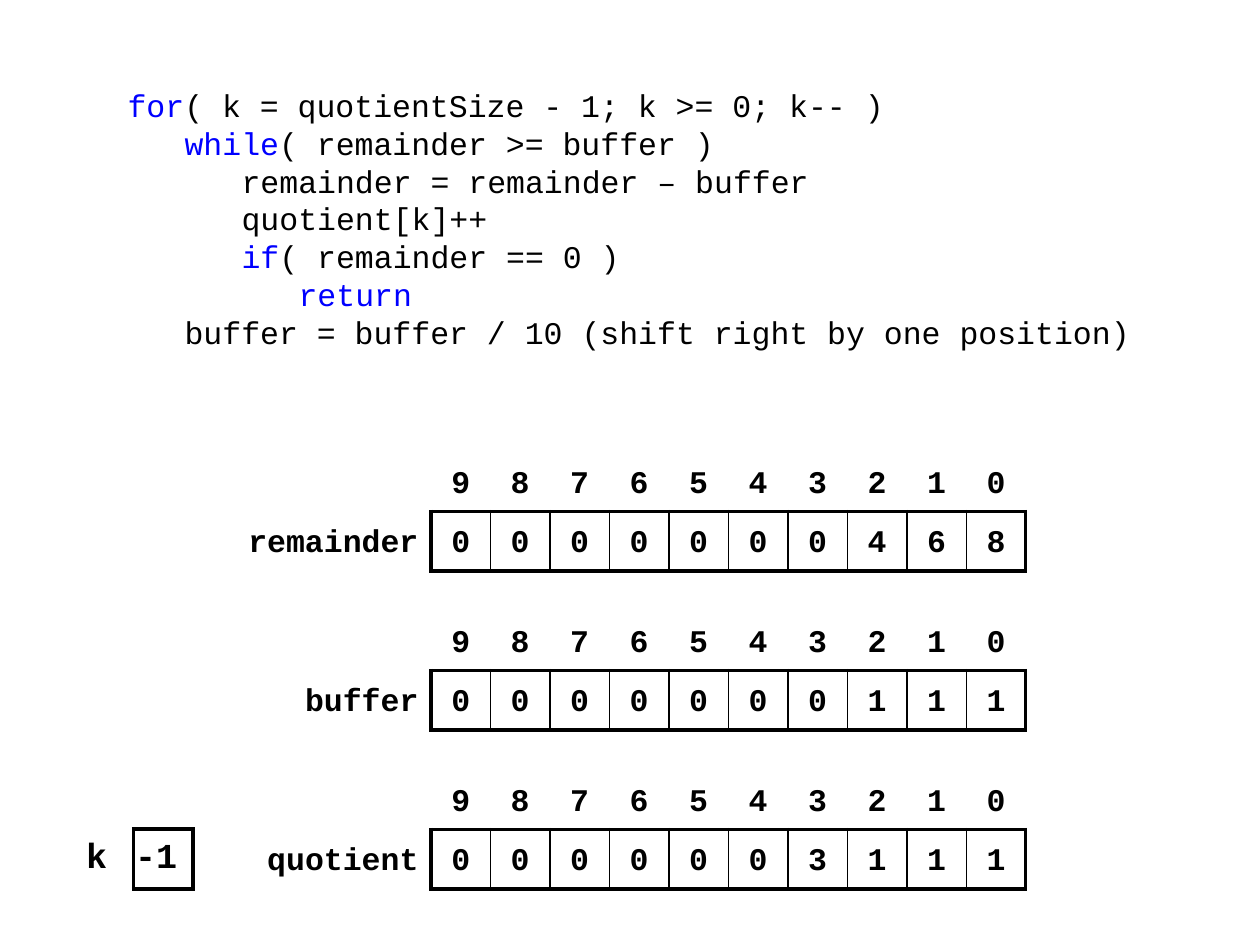
from lxml import etree
from pptx import Presentation
from pptx import util as u
from pptx.dml.color import RGBColor
from pptx.enum import text
from pptx.oxml import ns

SCALE = 914400 // 126
COLORS = {"text": "000000", "keyword": "0000FF"}
FONT = "Courier New"
THICK, THIN = 2.25, 1
INDENT = 57
CELLS = 10

# Each code line: indent level, then (text, colour) pieces
CODE = [
    (0, [("for", "keyword"), ("( k = quotientSize - 1; k >= 0; k-- )", "text")]),
    (1, [("while", "keyword"), ("( remainder >= buffer )", "text")]),
    (2, [("remainder = remainder – buffer", "text")]),
    (2, [("quotient[k]++", "text")]),
    (2, [("if", "keyword"), ("( remainder == 0 )", "text")]),
    (3, [("return", "keyword")]),
    (1, [("buffer = buffer / 10 (shift right by one position)", "text")]),
]
REGISTERS = [("remainder", "0000000468"), ("buffer", "0000000111"),
             ("quotient", "0000003111")]


def px(n):
    return u.Emu(n * SCALE)


def add_text(p, string, size=18, color="text", bold=False, align=None, spacing=None):
    r = p.add_run()
    r.text = string
    r.font.name = FONT
    r.font.size = u.Pt(size)
    r.font.bold = bold
    r.font.color.rgb = RGBColor.from_string(COLORS[color])
    if align is not None:
        p.alignment = align
    if spacing is not None:
        p.line_spacing = spacing


def set_borders(cell, left=0, right=0, top=0, bottom=0):
    """Border widths in points; zero means no line."""
    tcPr = cell._tc.get_or_add_tcPr()
    for side, width in zip("LRTB", (left, right, top, bottom)):
        ln = etree.SubElement(tcPr, ns.qn(f"a:ln{side}"), w=str(u.Pt(width)))
        if width:
            fill = etree.SubElement(ln, ns.qn("a:solidFill"))
            etree.SubElement(fill, ns.qn("a:srgbClr"), val=COLORS["text"])
        else:
            etree.SubElement(ln, ns.qn("a:noFill"))
    cell.fill.background()


def add_grid(slide, rows, cols, x, y, w, h):
    table = slide.shapes.add_table(rows, cols, px(x), px(y), px(w), px(h)).table
    table.first_row = False
    table.horz_banding = False
    return table


def add_code(body):
    body.left, body.top, body.width, body.height = map(px, (115, 76, 1032, 297))
    tf = body.text_frame
    tf.auto_size = text.MSO_AUTO_SIZE.NONE
    tf.word_wrap = True
    tf.margin_top = px(10)
    for i, (level, pieces) in enumerate(CODE):
        p = tf.paragraphs[0] if i == 0 else tf.add_paragraph()
        p.space_before = u.Pt(0)
        pPr = p._p.get_or_add_pPr()
        pPr.set("marL", str(px(INDENT * level)))
        pPr.set("indent", "0")
        etree.SubElement(pPr, ns.qn("a:buNone"))
        for string, color in pieces:
            add_text(p, string, color=color, spacing=u.Pt(21.6))


def add_register(slide, name, digits, y):
    label_w, cells_w, h = 198, 595, 119
    table = add_grid(slide, 2, CELLS + 1, 233, y, label_w + cells_w, h)
    table.columns[0].width = px(label_w)
    for i in range(CELLS):
        table.columns[i + 1].width = px(cells_w) // CELLS

    # Label column
    set_borders(table.cell(0, 0))
    label = table.cell(1, 0)
    set_borders(label, right=THICK)
    add_text(label.text_frame.paragraphs[0], name, bold=True,
             align=text.PP_ALIGN.RIGHT, spacing=1.25)

    # Index row above digit row
    for i, digit in enumerate(digits):
        index_cell, digit_cell = table.cell(0, i + 1), table.cell(1, i + 1)
        set_borders(index_cell, bottom=THICK)
        set_borders(digit_cell, top=THICK, bottom=THICK,
                    left=THIN if i else THICK,
                    right=THIN if i < CELLS - 1 else THICK)
        for cell, string in ((index_cell, str(CELLS - 1 - i)), (digit_cell, digit)):
            add_text(cell.text_frame.paragraphs[0], string, bold=True,
                     align=text.PP_ALIGN.CENTER, spacing=1.25)


def add_counter(slide, name, value):
    table = add_grid(slide, 1, 2, 74, 829, 119, 60)
    name_cell, value_cell = table.cell(0, 0), table.cell(0, 1)
    set_borders(name_cell, right=THICK)
    set_borders(value_cell, THICK, THICK, THICK, THICK)
    for cell, string, left, right in ((name_cell, name, 6, 20),
                                      (value_cell, value, 0, 14)):
        cell.margin_left, cell.margin_right = px(left), px(right)
        cell.vertical_anchor = text.MSO_ANCHOR.MIDDLE
        add_text(cell.text_frame.paragraphs[0], string, size=20, bold=True,
                 align=text.PP_ALIGN.CENTER)


def main():
    prs = Presentation()
    prs.slide_width, prs.slide_height = px(1260), px(945)
    slide = prs.slides.add_slide(prs.slide_layouts[1])
    title = slide.shapes.title
    title.element.getparent().remove(title.element)

    add_code(slide.placeholders[1])
    for i, (name, digits) in enumerate(REGISTERS):
        add_register(slide, name, digits, 452 + 159 * i)
    add_counter(slide, "k", "-1")
    prs.save("out.pptx")


main()
